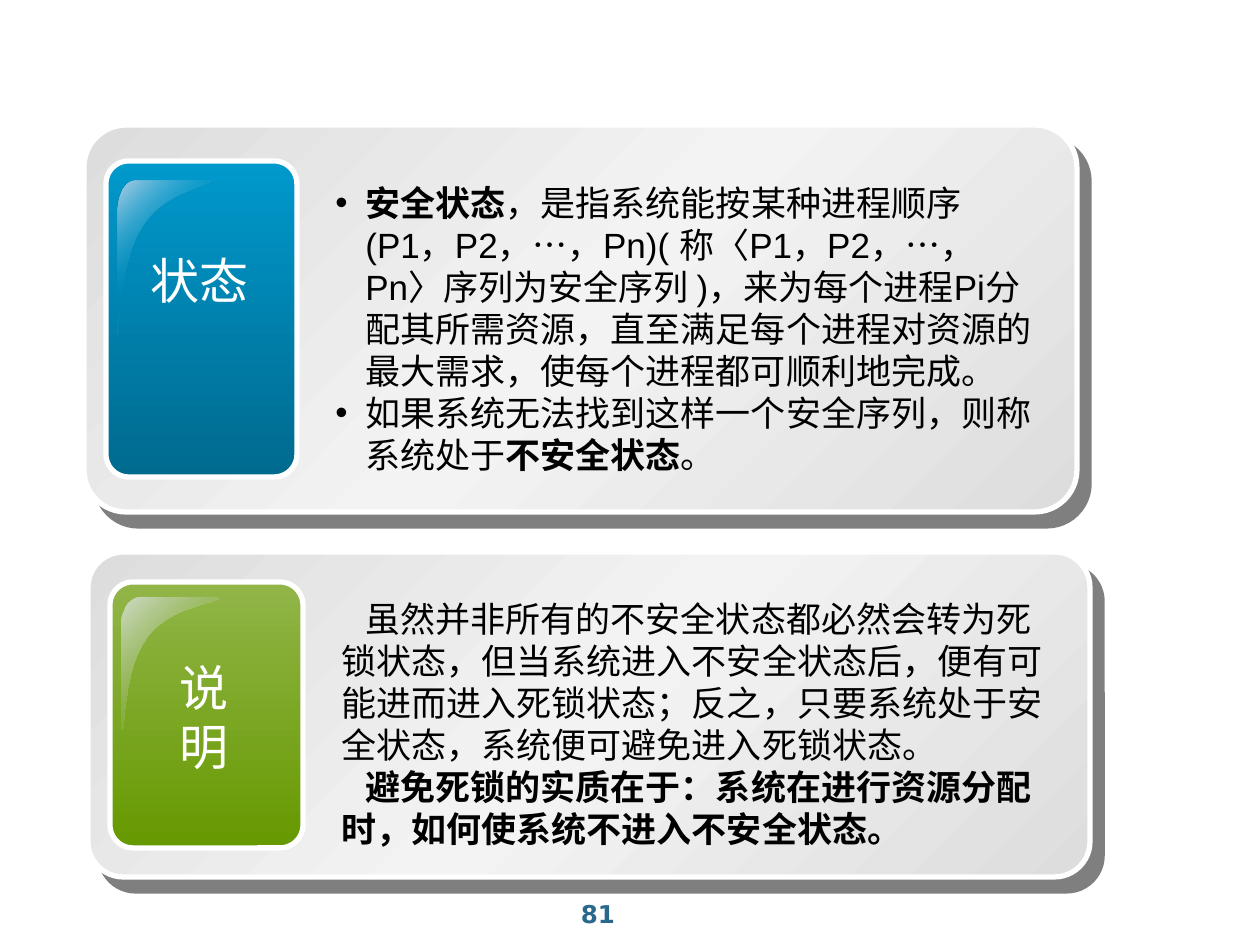
from lxml.etree import SubElement
from pptx import Presentation
from pptx.dml.color import RGBColor
from pptx.enum.shapes import MSO_SHAPE as Shape
from pptx.enum.text import MSO_ANCHOR as Anchor, PP_ALIGN as Align
from pptx.oxml.ns import qn
from pptx.util import Pt

EMU_PER_PX = 914400 / 126
CURVE_STEPS = 12


def px(length):
    return round(length * EMU_PER_PX)


def color(hex_string):
    return RGBColor.from_string(hex_string)


def fill_gradient(shape, stops, angle):
    """Stops are (position in percent, colour, opacity in percent)."""
    shape.fill.background()
    properties = shape._element.spPr
    placeholder = properties.find(qn("a:noFill"))
    gradient = placeholder.makeelement(qn("a:gradFill"), {"rotWithShape": "1"})
    stop_list = SubElement(gradient, qn("a:gsLst"))
    for position, hex_string, opacity in stops:
        stop = SubElement(stop_list, qn("a:gs"), pos=str(position * 1000))
        stop_color = SubElement(stop, qn("a:srgbClr"), val=hex_string)
        if opacity < 100:
            SubElement(stop_color, qn("a:alpha"), val=str(opacity * 1000))
    SubElement(gradient, qn("a:lin"), ang=str(angle * 60000), scaled="0")
    properties.replace(placeholder, gradient)


def add_shadow(shape):
    effects = shape._element.spPr.find(qn("a:effectLst"))
    shadow = SubElement(effects, qn("a:outerShdw"), blurRad="0",
                        dist=str(Pt(10.6)), dir=str(49 * 60000),
                        algn="ctr", rotWithShape="0")
    shadow_color = SubElement(shadow, qn("a:srgbClr"), val="000000")
    SubElement(shadow_color, qn("a:alpha"), val="50000")


def add_rounded(shapes, box, radius, stops, angle):
    shape = shapes.add_shape(Shape.ROUNDED_RECTANGLE, *map(px, box))
    shape.adjustments[0] = radius
    fill_gradient(shape, stops, angle)
    shape.line.color.rgb = color("FFFFFF")
    shape.line.width = Pt(3)
    shape.shadow.inherit = False
    return shape


def curve_points(start, control_1, control_2, end):
    """Points along a cubic Bezier curve, without its start."""
    for step in range(1, CURVE_STEPS + 1):
        t = step / CURVE_STEPS
        weights = ((1 - t) ** 3, 3 * t * (1 - t) ** 2, 3 * t * t * (1 - t), t ** 3)
        corners = (start, control_1, control_2, end)
        yield tuple(sum(w * corner[axis] for w, corner in zip(weights, corners))
                    for axis in (0, 1))


def add_gloss(shapes, box, stops):
    left, top, width, height = box
    start, tip, bend, end = (0.19, 0), (0, 0.98), (0.27, 0.29), (1, 0)
    points = [
        start,
        *curve_points(start, (0.08, 0), (0, 0.09), (0, 0.2)),
        tip,
        *curve_points(tip, (0.04, 1.02), (0.01, 0.52), bend),
        *curve_points(bend, (0.51, 0.06), (0.99, 0.05), end),
    ]
    outline = [(px(left + x * width), px(top + y * height)) for x, y in points]
    builder = shapes.build_freeform(*outline[0])
    builder.add_line_segments(outline[1:], close=True)
    gloss = builder.convert_to_shape()
    fill_gradient(gloss, stops, 45)
    gloss.line.fill.background()
    gloss.shadow.inherit = False


def add_text(shapes, box, paragraphs, size, hex_string, font="Arial",
             align=None, wrap=True):
    """Each paragraph is a list of (text, bold) runs."""
    text_frame = shapes.add_textbox(*map(px, box)).text_frame
    text_frame.word_wrap = wrap
    for index, runs in enumerate(paragraphs):
        paragraph = text_frame.paragraphs[0] if index == 0 else text_frame.add_paragraph()
        paragraph.alignment = align
        for text, bold in runs:
            run = paragraph.add_run()
            run.text = text
            run.font.name = font
            run.font.size = Pt(size)
            run.font.bold = bold
            run.font.color.rgb = color(hex_string)
    return text_frame


def format_paragraphs(text_frame, margin, indent, bullet=None):
    """Set indents and bullet, and keep punctuation inside the margins."""
    for paragraph in text_frame.paragraphs:
        properties = paragraph._p.get_or_add_pPr()
        properties.set("marL", str(px(margin)))
        properties.set("indent", str(px(indent)))
        properties.set("hangingPunct", "0")
        if bullet:
            SubElement(properties, qn("a:buFont"), typeface="Arial")
            SubElement(properties, qn("a:buChar"), char=bullet)


def add_panel(slide, box, tile, gloss, label, body):
    """Draw a panel; the boxes of its parts are relative to its corner."""
    left, top = box[:2]

    def place(part):
        x, y, width, height = part["box"]
        return left + x, top + y, width, height

    shapes = slide.shapes.add_group_shape().shapes
    panel_stops = [(0, "DDDDDD", 100), (50, "F3F3F3", 100), (100, "DDDDDD", 100)]
    add_shadow(add_rounded(shapes, box, 0.109, panel_stops, 45))
    add_rounded(shapes, place(tile), 0.119, tile["stops"], 90)
    add_gloss(shapes, place(gloss), gloss["stops"])
    add_text(shapes, place(label), [[(line, False)] for line in label["lines"]],
             28, "FFFFFF", align=Align.CENTER, wrap=False)
    text_frame = add_text(shapes, place(body), body["paragraphs"], 20, "000000")
    format_paragraphs(text_frame, *body["indents"])


def add_page_number(slide, box, number):
    text_frame = add_text(slide.shapes, box, [[(number, True)]], 14, "29698D",
                          font="DejaVu Sans", align=Align.CENTER)
    text_frame.vertical_anchor = Anchor.MIDDLE


def main():
    presentation = Presentation()
    presentation.slide_width, presentation.slide_height = px(1260), px(945)
    slide = presentation.slides.add_slide(presentation.slide_layouts[6])

    add_page_number(slide, (451, 894, 294, 40), "81")
    add_panel(
        slide, (84, 125, 993, 387),
        tile={"box": (22, 36, 191, 316),
              "stops": [(0, "0099CC", 100), (100, "006A8F", 100)]},
        gloss={"box": (34, 56, 94, 159),
               "stops": [(0, "B5D0E5", 100), (50, "0099CC", 0), (100, "B5D0E5", 100)]},
        label={"box": (54, 119, 123, 72), "lines": ["状态"]},
        body={"box": (239, 50, 730, 306), "indents": (30, -30, "•"), "paragraphs": [
            [("安全状态", True),
             ("，是指系统能按某种进程顺序(P1，P2，…，Pn)( 称〈P1，P2，…，Pn〉序列为安全序列 )，"
              "来为每个进程Pi分配其所需资源，直至满足每个进程对资源的最大需求，"
              "使每个进程都可顺利地完成。", False)],
            [("如果系统无法找到这样一个安全序列，则称系统处于", False),
             ("不安全状态", True), ("。", False)],
        ]})
    add_panel(
        slide, (88, 552, 1002, 325),
        tile={"box": (22, 30, 193, 266),
              "stops": [(0, "91B548", 100), (100, "669900", 100)]},
        gloss={"box": (34, 46, 96, 134),
               "stops": [(0, "D0DBC9", 100), (100, "669900", 0)]},
        label={"box": (79, 99, 74, 131), "lines": ["说", "明"]},
        body={"box": (241, 39, 737, 265), "indents": (0, 24), "paragraphs": [
            [("虽然并非所有的不安全状态都必然会转为死锁状态，但当系统进入不安全状态后，"
              "便有可能进而进入死锁状态；反之，只要系统处于安全状态，"
              "系统便可避免进入死锁状态。", False)],
            [("避免死锁的实质在于：系统在进行资源分配时，"
              "如何使系统不进入不安全状态。", True)],
        ]})
    presentation.save("out.pptx")


if __name__ == "__main__":
    main()
